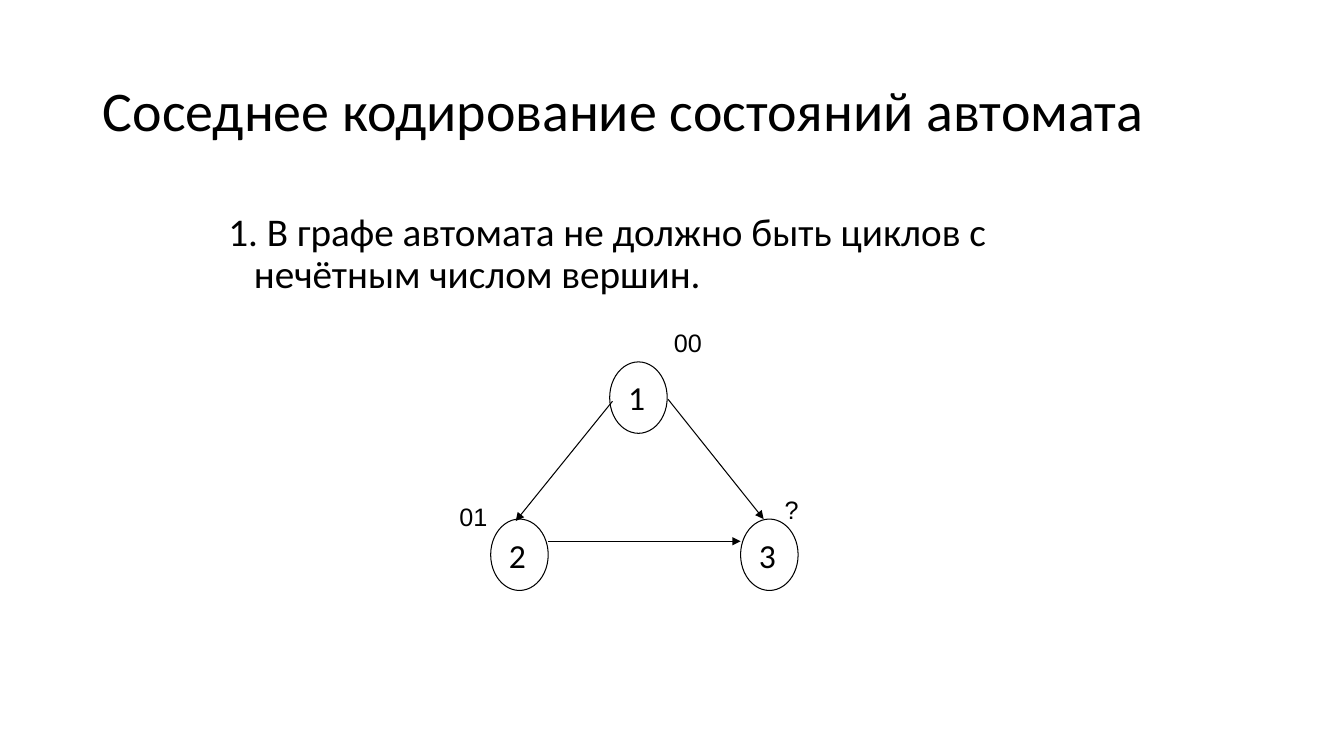
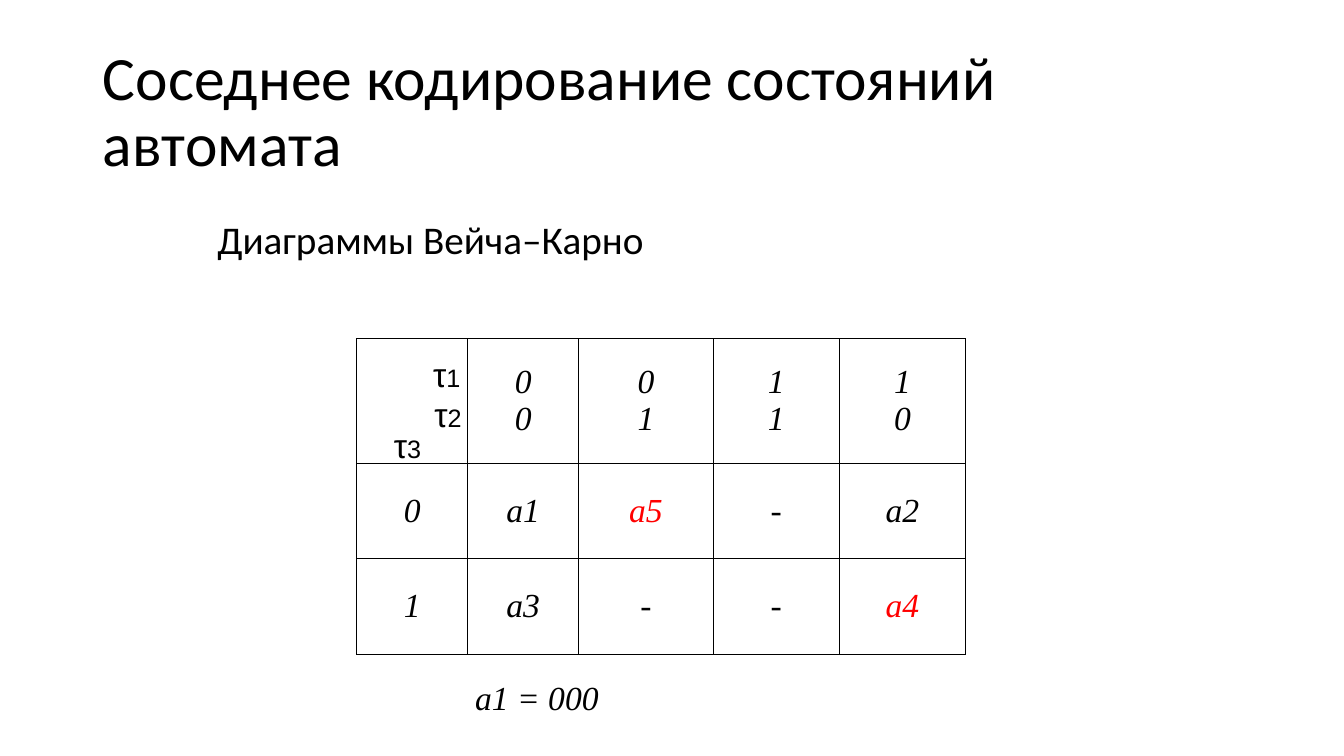
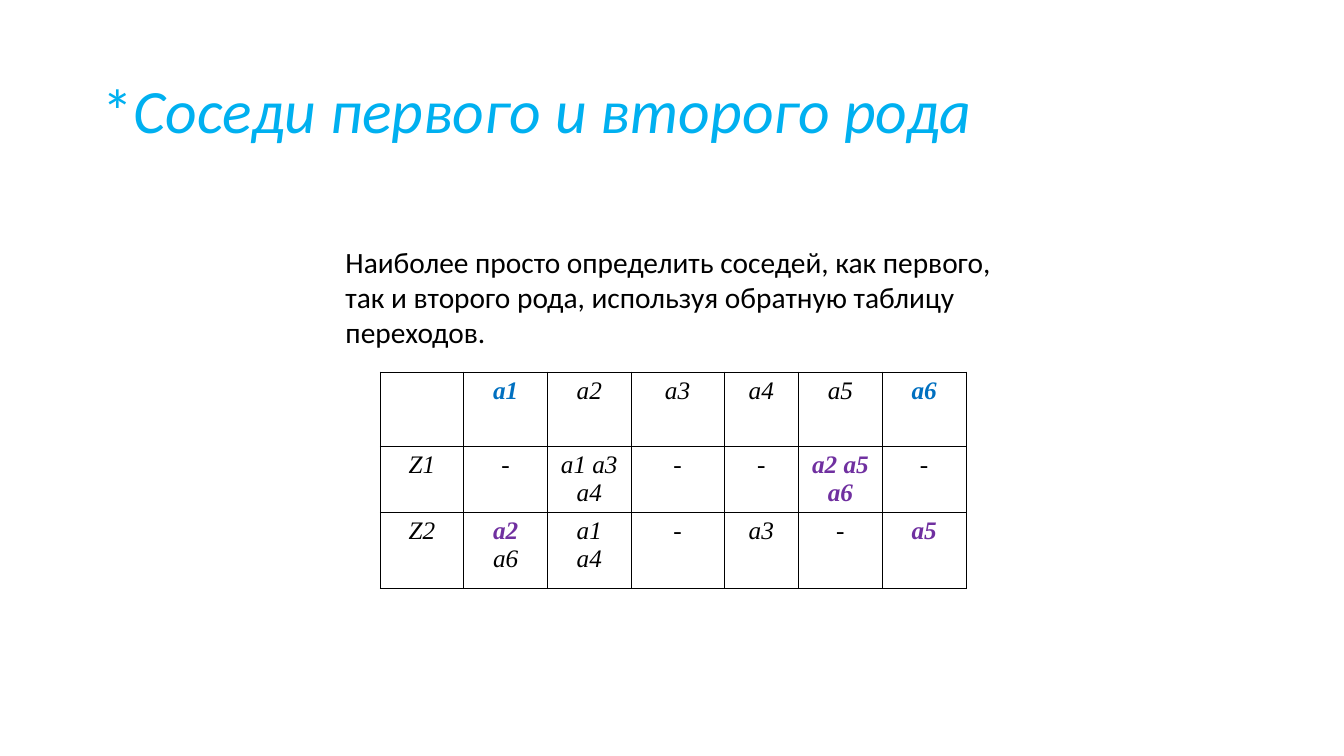
from lxml.etree import SubElement
from pptx import Presentation
from pptx.dml.color import RGBColor
from pptx.enum.shapes import MSO_CONNECTOR, MSO_SHAPE
from pptx.enum.text import MSO_ANCHOR, MSO_AUTO_SIZE, PP_ALIGN
from pptx.oxml.ns import qn
from pptx.util import Cm, Pt

COLORS = {
    "black": "000000",
    "white": "FFFFFF",
    "red": "FF0000",
    "sky": "00B0F0",
    "blue": "0070C0",
    "purple": "7030A0",
}

CALIBRI = {"name": "Calibri", "color": "black"}
ARIAL = {"name": "Arial", "color": "black"}
TIMES = {"name": "Times New Roman", "color": "black", "italic": True}
STYLES = {
    "title": {**CALIBRI, "size": Pt(44)},
    "title small": {**CALIBRI, "size": Pt(40)},
    "title sky": {**CALIBRI, "size": Pt(44), "color": "sky"},
    "title sky italic": {**CALIBRI, "size": Pt(44), "color": "sky", "italic": True},
    "body": {**CALIBRI, "size": Pt(28)},
    "note": {**CALIBRI, "size": Pt(21)},
    "node": {**CALIBRI, "size": Pt(24)},
    "label": {**ARIAL, "size": Pt(18)},
    "axis": {**ARIAL, "size": Pt(24)},
    "map": {**TIMES, "size": Pt(24)},
    "map red": {**TIMES, "size": Pt(24), "color": "red"},
    "state": {**TIMES, "size": Pt(18)},
    "state blue": {**TIMES, "size": Pt(18), "color": "blue", "bold": True},
    "state purple": {**TIMES, "size": Pt(18), "color": "purple", "bold": True},
}

LEFT = {"alignment": PP_ALIGN.LEFT}
TIGHT = {**LEFT, "line_spacing": 0.9}
CENTER = {"alignment": PP_ALIGN.CENTER}

TITLE_BOX = (2.34, 1.02, 29.21, 3.68)
TITLE_TEXT = "Соседнее кодирование состояний автомата"


def rgb(name):
    return RGBColor.from_string(COLORS[name])


def set_all(target, values):
    for key, value in values.items():
        setattr(target, key, value)


def write(tf, paragraphs, para_format):
    for i, runs in enumerate(paragraphs):
        p = tf.add_paragraph() if i else tf.paragraphs[0]
        set_all(p, para_format)
        for text, style in runs:
            r = p.add_run()
            r.text = text
            for key, value in STYLES[style].items():
                if key == "color":
                    r.font.color.rgb = rgb(value)
                else:
                    setattr(r.font, key, value)


def add_text(shapes, box, runs, para_format=LEFT, inset=True, hanging=False):
    sp = shapes.add_textbox(*map(Cm, box))
    tf = sp.text_frame
    tf.word_wrap = True
    if not inset:
        set_all(tf, dict.fromkeys(
            ("margin_left", "margin_right", "margin_top", "margin_bottom"), 0))
    write(tf, [runs], para_format)
    if hanging:
        pPr = tf.paragraphs[0]._p.get_or_add_pPr()
        pPr.set("marL", str(Cm(0.64)))
        pPr.set("indent", str(-Cm(0.64)))


def add_slide(prs, title_runs):
    s = prs.slides.add_slide(prs.slide_layouts[5])
    title = s.shapes.title
    set_all(title, dict(zip(("left", "top", "width", "height"), map(Cm, TITLE_BOX))))
    tf = title.text_frame
    set_all(tf, {"auto_size": MSO_AUTO_SIZE.NONE, "word_wrap": True,
                 "vertical_anchor": MSO_ANCHOR.MIDDLE})
    write(tf, [title_runs], TIGHT)
    return s


def set_line(line, width):
    line.color.rgb = rgb("black")
    line.width = Pt(width)


def add_node(shapes, x, y, text):
    sp = shapes.add_shape(MSO_SHAPE.OVAL, Cm(x), Cm(y), Cm(1.45), Cm(1.8))
    sp.shadow.inherit = False
    sp.fill.solid()
    sp.fill.fore_color.rgb = rgb("white")
    set_line(sp.line, 0.75)
    tf = sp.text_frame
    set_all(tf, {"vertical_anchor": MSO_ANCHOR.TOP, "word_wrap": True})
    write(tf, [[(text, "node")]], LEFT)


def add_arrow(shapes, x1, y1, x2, y2):
    c = shapes.add_connector(MSO_CONNECTOR.STRAIGHT, *map(Cm, (x1, y1, x2, y2)))
    set_line(c.line, 0.75)
    SubElement(c.line._get_or_add_ln(), qn("a:tailEnd"), type="triangle")
    SubElement(c._element.spPr, qn("a:effectLst"))


def add_graph(s, x, y):
    shapes = s.shapes.add_group_shape().shapes
    for dx, dy, text in ((7.34, 4.95, "3"), (4.04, 0.99, "1"), (1.04, 4.95, "2")):
        add_node(shapes, x + dx, y + dy, text)
    for x1, y1, x2, y2 in ((2.49, 5.51, 7.34, 5.51),
                           (5.51, 1.93, 7.92, 4.95),
                           (4.11, 1.98, 1.67, 5.0)):
        add_arrow(shapes, x + x1, y + y1, x + x2, y + y2)
    for dx, dy, text in ((5.41, 0, "00"), (0, 4.39, "01"), (8.2, 4.19, "?")):
        add_text(shapes, (x + dx, y + dy, 1.4, 1.02), [(text, "label")])


def format_cell(cell, side, anchor):
    set_all(cell, {"margin_left": Cm(side), "margin_right": Cm(side),
                   "margin_top": Cm(0.13), "margin_bottom": Cm(0.13),
                   "vertical_anchor": anchor})
    tcPr = cell._tc.get_or_add_tcPr()
    for edge in ("lnL", "lnR", "lnT", "lnB"):
        ln = SubElement(tcPr, qn(f"a:{edge}"), w=str(Pt(0.45)))
        fill = SubElement(ln, qn("a:solidFill"))
        SubElement(fill, qn("a:srgbClr"), val=COLORS["black"])
    cell.fill.background()


def add_grid(s, x, y, widths, heights, rows, style, accents, side, anchor):
    frame = s.shapes.add_table(len(heights), len(widths), Cm(x), Cm(y),
                               Cm(sum(widths)), Cm(sum(heights)))
    table = frame.table
    set_all(table, {"first_row": False, "horz_banding": False})
    for column, width in zip(table.columns, widths):
        column.width = Cm(width)
    for i, (row, height) in enumerate(zip(rows, heights)):
        table.rows[i].height = Cm(height)
        for j, text in enumerate(row):
            cell = table.cell(i, j)
            format_cell(cell, side, anchor)
            lines = [[(line, accents.get((i, j, k), style))]
                     for k, line in enumerate(text.splitlines())]
            write(cell.text_frame, lines, CENTER)


def add_karnaugh_map(s, x, y):
    rows = (("", "0\n0", "0\n1", "1\n1", "1\n0"),
            ("0", "а1", "а5", "-", "а2"),
            ("1", "а3", "-", "-", "а4"))
    accents = dict.fromkeys(((1, 2, 0), (2, 4, 0)), "map red")
    add_grid(s, x, y, (2.8, 2.8, 3.39, 3.18, 3.18), (3.15, 2.4, 2.4),
             rows, "map", accents, 0.18, MSO_ANCHOR.MIDDLE)
    for dx, dy, index in ((1.93, 0.38, "1"), (1.96, 1.4, "2"), (0.94, 2.18, "3")):
        add_text(s.shapes, (x + dx, y + dy, 0.79, 1.02),
                 [("τ", "axis"), (index, "label")], inset=False)
    add_text(s.shapes, (x + 2.74, y + 8.39, 5, 1.27), [("a1 = 000", "map")])


def add_transitions(s, x, y):
    rows = (("", "a1", "a2", "а3", "a4", "a5", "a6"),
            ("Z1", "-", "а1 а3\na4", "-", "-", "a2 a5 a6", "-"),
            ("Z2", "a2\na6", "a1\na4", "-", "a3", "-", "a5"))
    accents = {**dict.fromkeys(((0, 1, 0), (0, 6, 0)), "state blue"),
               **dict.fromkeys(((1, 5, 0), (2, 1, 0), (2, 6, 0)), "state purple")}
    add_grid(s, x, y, (2.11, 2.11, 2.11, 2.34, 1.88, 2.11, 2.11), (1.87, 1.67, 1.92),
             rows, "state", accents, 0.16, MSO_ANCHOR.TOP)


def odd_cycle_slide(prs):
    s = add_slide(prs, [(TITLE_TEXT, "title small")])
    rule = "1. В графе автомата не должно быть циклов с нечётным числом вершин."
    add_text(s.shapes, (5.51, 5.23, 22.86, 2.9), [(rule, "body")], TIGHT, hanging=True)
    add_graph(s, 11.33, 8.13)


def karnaugh_slide(prs):
    s = add_slide(prs, [(TITLE_TEXT, "title")])
    add_text(s.shapes, (5.23, 5.44, 22.86, 1.7),
             [("Диаграммы Вейча–Карно", "body")], TIGHT, hanging=True)
    add_karnaugh_map(s, 8.99, 8.53)


def neighbours_slide(prs):
    s = add_slide(prs, [("*", "title sky"),
                        ("Соседи первого и второго рода", "title sky italic")])
    add_transitions(s, 9.58, 9.37)
    note = ("Наиболее просто определить соседей, как первого, так и второго рода, "
            "используя обратную таблицу переходов.")
    add_text(s.shapes, (8.46, 6.02, 16.81, 2.92), [(note, "note")])


def main():
    prs = Presentation()
    prs.slide_width, prs.slide_height = Cm(33.88), Cm(19.05)
    for build in (odd_cycle_slide, karnaugh_slide, neighbours_slide):
        build(prs)
    prs.save("out.pptx")


if __name__ == "__main__":
    main()
